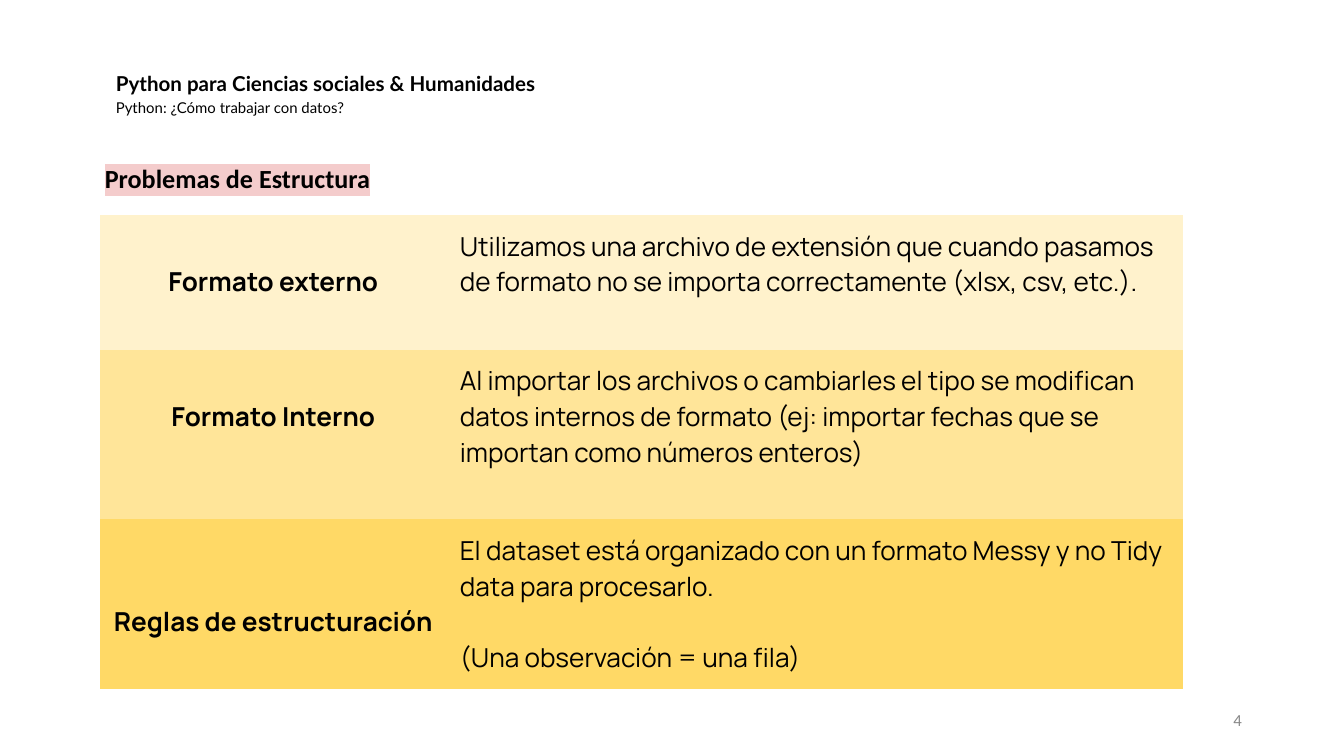
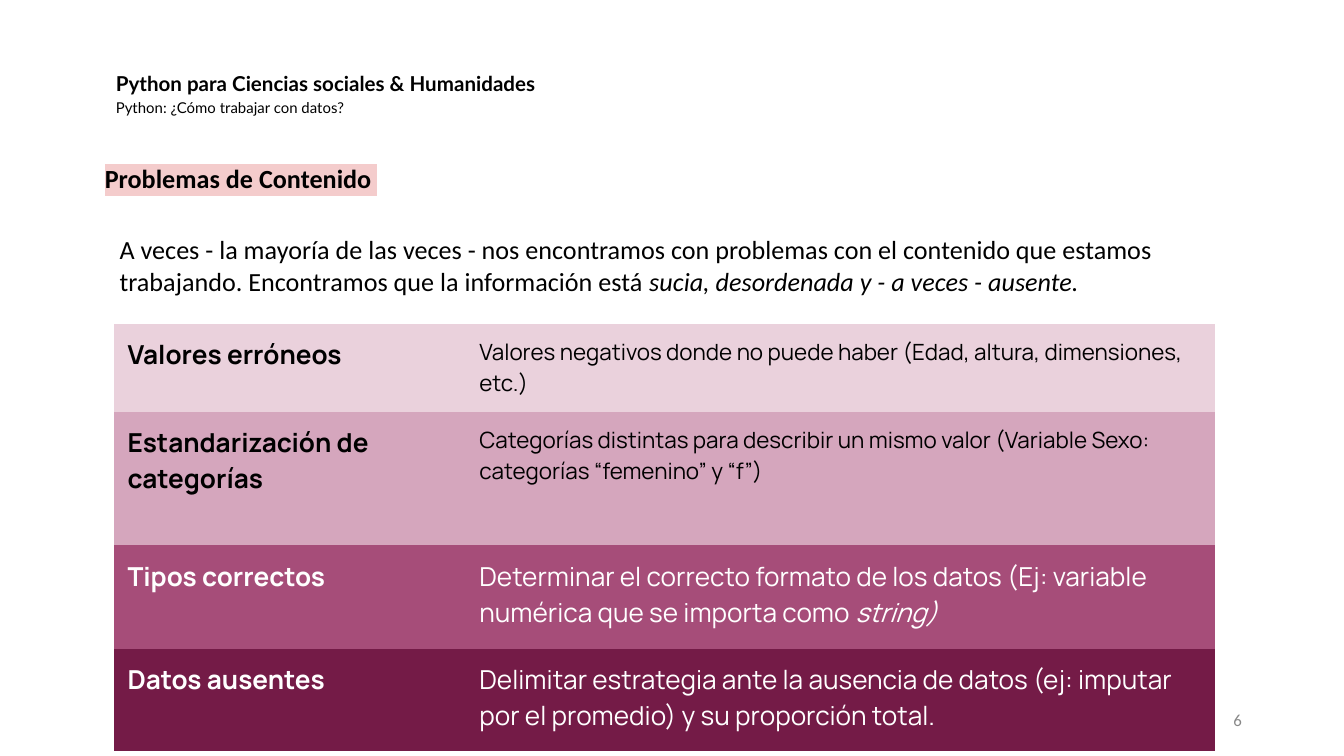
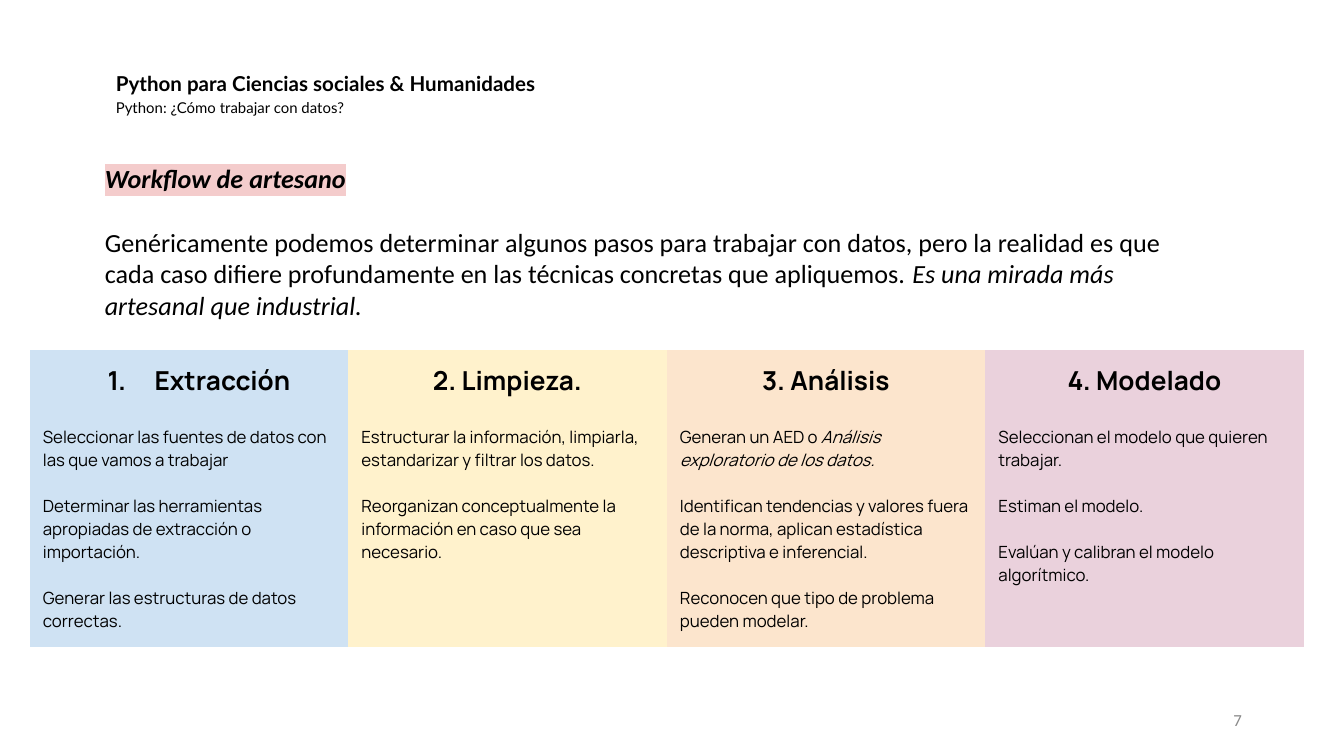
"""Build three slides on common data problems and a data workflow."""
import pptx
import pptx.util
import pptx.dml.color
import pptx.enum.text
import lxml.etree

Cm = pptx.util.Cm
Pt = pptx.util.Pt
ALIGN = pptx.enum.text.PP_ALIGN
ANCHOR = pptx.enum.text.MSO_ANCHOR
BLACK, WHITE, GREY, ROSE = "000000", "FFFFFF", "888888", "F4CCCC"
HEAD, BODY, CELL = "Lato", "Calibri", "Manrope"
PLAIN = "{2D5ABB26-0587-4C30-8999-92F81FD0307C}"
LINE = 0.67
PAD = 0.25

FORMATS = [
    ("FFF2CC", 2.55, 1, "Formato externo",
     "Utilizamos una archivo de extensión que cuando pasamos de formato "
     "no se importa correctamente (xlsx, csv, etc.)."),
    ("FFE599", 3.21, 1, "Formato Interno",
     "Al importar los archivos o cambiarles el tipo se modifican datos "
     "internos de formato (ej: importar fechas que se importan como "
     "números enteros)"),
    ("FFD966", 3.21, 2, "Reglas de estructuración",
     "El dataset está organizado con un formato Messy y no Tidy data para "
     "procesarlo.\n(Una observación = una fila)"),
]
ISSUES = [
    ("EAD1DC", 1.66, BLACK, 12, "Valores erróneos",
     "Valores negativos donde no puede haber (Edad, altura, dimensiones, "
     "etc.)"),
    ("D5A6BD", 2.53, BLACK, 12, "Estandarización de categorías",
     "Categorías distintas para describir un mismo valor (Variable Sexo: "
     "categorías “femenino” y “f”)"),
    ("A64D79", 1.95, WHITE, 14, "Tipos correctos",
     "Determinar el correcto formato de los datos (Ej: variable numérica "
     "que se importa como *string)*"),
    ("741B47", 1.93, WHITE, 14, "Datos ausentes",
     "Delimitar estrategia ante la ausencia de datos (ej: imputar por el "
     "promedio) y su proporción total."),
]
STEPS = [
    ("CFE2F3", "Extracción",
     "Seleccionar las fuentes de datos con las que vamos a trabajar\n"
     "Determinar las herramientas apropiadas de extracción o importación.\n"
     "Generar las estructuras de datos correctas."),
    ("FFF2CC", "2. Limpieza.",
     "Estructurar la información, limpiarla, estandarizar y filtrar los "
     "datos.\nReorganizan conceptualmente la información en caso que sea "
     "necesario."),
    ("FCE5CD", "3. Análisis",
     "Generan un AED o *Análisis exploratorio de los datos.*\n"
     "Identifican tendencias y valores fuera de la norma, aplican "
     "estadística descriptiva e inferencial.\n"
     "Reconocen que tipo de problema pueden modelar."),
    ("EAD1DC", "4. Modelado",
     "Seleccionan el modelo que quieren trabajar.\nEstiman el modelo.\n"
     "Evalúan y calibran el modelo algorítmico."),
]


def paint(form, tone):
    if hasattr(form, "solid"):
        form.solid()
        form = form.fore_color
    form.rgb = pptx.dml.color.RGBColor.from_string(tone)


def child(base, tag, **attrs):
    return lxml.etree.SubElement(base, pptx.oxml.ns.qn(tag), attrs)


def mark(run, tone):
    props = run.font.fill._xPr
    light = child(props, "a:highlight")
    child(light, "a:srgbClr", val=tone)
    props.find(pptx.oxml.ns.qn("a:solidFill")).addnext(light)


def write(frame, text, size=14, font=BODY, tone=BLACK, bold=False,
          align=ALIGN.LEFT, lines=None, gap=0, glow=None):
    for spot, line in enumerate(text.split("\n")):
        para = frame.add_paragraph() if frame.text else frame.paragraphs[0]
        para.alignment = align
        para.space_before = Pt(gap if spot else 0)
        if lines:
            para.line_spacing = lines
        for turn, part in enumerate(line.split("*")):
            if not part:
                continue
            run = para.add_run()
            run.text = part
            run.font.size = Pt(size)
            run.font.name = font
            run.font.bold = bold
            run.font.italic = turn % 2 == 1
            paint(run.font.color, tone)
            if glow:
                mark(run, glow)


def place(shape, left, top, width, height, side=PAD, edge=PAD,
          anchor=ANCHOR.TOP):
    shape.left, shape.top = Cm(left), Cm(top)
    shape.width, shape.height = Cm(width), Cm(height)
    frame = shape.text_frame
    frame.word_wrap = True
    frame.auto_size = pptx.enum.text.MSO_AUTO_SIZE.NONE
    frame.vertical_anchor = anchor
    frame.margin_left = frame.margin_right = Cm(side)
    frame.margin_top = frame.margin_bottom = Cm(edge)
    return frame


def box(slide, *spot, **inset):
    return place(slide.shapes.add_textbox(0, 0, 0, 0), *spot, **inset)


def start(deck, page, title, intro=None, spot=None):
    slide = deck.slides.add_slide(deck.slide_layouts[1 if intro else 5])
    frame = box(slide, 17.93, 13.23, 5.72, 0.76, side=0.18, edge=0.1,
                anchor=ANCHOR.MIDDLE)
    write(frame, page, size=9, tone=GREY, align=ALIGN.RIGHT)
    frame = box(slide, 2.01, 1.09, 22.1, 2.11, side=0.18, edge=0.18)
    write(frame, "Python para Ciencias sociales & Humanidades", size=11,
          font=HEAD, bold=True, lines=1.15)
    write(frame, "Python: ¿Cómo trabajar con datos?", size=8, font=HEAD,
          lines=1.15)
    frame = place(slide.shapes.title, 1.73, 2.82, 21.26, 1.24)
    write(frame, title, bold=True, glow=ROSE)
    if intro:
        frame = place(slide.placeholders[1], *spot)
        write(frame, intro)
        props = frame.paragraphs[0]._p.get_or_add_pPr()
        props.set("marL", "0")
        props.set("indent", "0")
        child(props, "a:buNone")
    return slide


def grid(slide, left, top, wides, highs):
    shape = slide.shapes.add_table(
        len(highs), len(wides), Cm(left), Cm(top),
        Cm(sum(wides)), Cm(sum(highs)))
    table = shape.table
    table.first_row = table.horz_banding = False
    for node in shape.element.iter(pptx.oxml.ns.qn("a:tableStyleId")):
        node.text = PLAIN
    for col, wide in zip(table.columns, wides):
        col.width = Cm(wide)
    for row, high in zip(table.rows, highs):
        row.height = Cm(high)
    return table


def fill(cell, text, back, drop=0, **form):
    paint(cell.fill, back)
    cell.margin_left = cell.margin_right = Cm(PAD)
    cell.margin_top, cell.margin_bottom = Cm(PAD + drop), Cm(PAD)
    write(cell.text_frame, text, font=CELL, **form)


def count(cell):
    props = cell.text_frame.paragraphs[0]._p.get_or_add_pPr()
    props.set("marL", str(Cm(1.27)))
    props.set("indent", str(Cm(-0.89)))
    child(child(props, "a:buClr"), "a:srgbClr", val=BLACK)
    child(props, "a:buFont", typeface=CELL)
    child(props, "a:buAutoNum", type="arabicPeriod")


def layout(deck):
    slide = start(deck, "4", "Problemas de Estructura")
    table = grid(slide, 1.89, 4.06, [6.55, 13.92],
                 [item[1] for item in FORMATS])
    for row, (back, _, skip, name, text) in enumerate(FORMATS):
        fill(table.cell(row, 0), name, back, drop=skip * LINE, bold=True,
             align=ALIGN.CENTER)
        fill(table.cell(row, 1), text, back, gap=19)


def content(deck):
    slide = start(
        deck, "6", "Problemas de Contenido ",
        "A veces - la mayoría de las veces - nos encontramos con problemas "
        "con el contenido que estamos trabajando. Encontramos que la "
        "información está *sucia, desordenada y - a veces - ausente.*",
        (2.01, 4.17, 21.49, 1.96))
    table = grid(slide, 2.16, 6.12, [6.65, 14.15],
                 [item[1] for item in ISSUES])
    for row, (back, _, tone, size, name, text) in enumerate(ISSUES):
        fill(table.cell(row, 0), name, back, tone=tone, bold=True)
        fill(table.cell(row, 1), text, back, tone=tone, size=size)


def process(deck):
    slide = start(
        deck, "7", "*Workflow de artesano*",
        "Genéricamente podemos determinar algunos pasos para trabajar con "
        "datos, pero la realidad es que cada caso difiere profundamente en "
        "las técnicas concretas que apliquemos. *Es una mirada más "
        "artesanal que industrial.*",
        (1.73, 4.03, 21.26, 2.4))
    table = grid(slide, 0.56, 6.61, [6.02] * len(STEPS), [1.17, 4.44])
    for col, (back, name, text) in enumerate(STEPS):
        fill(table.cell(0, col), name, back, bold=True, align=ALIGN.CENTER)
        fill(table.cell(1, col), text, back, size=9, gap=12.3)
    count(table.cell(0, 0))


def main():
    deck = pptx.Presentation()
    deck.slide_width, deck.slide_height = Cm(25.4), Cm(14.29)
    layout(deck)
    content(deck)
    process(deck)
    deck.save("out.pptx")


if __name__ == "__main__":
    main()
